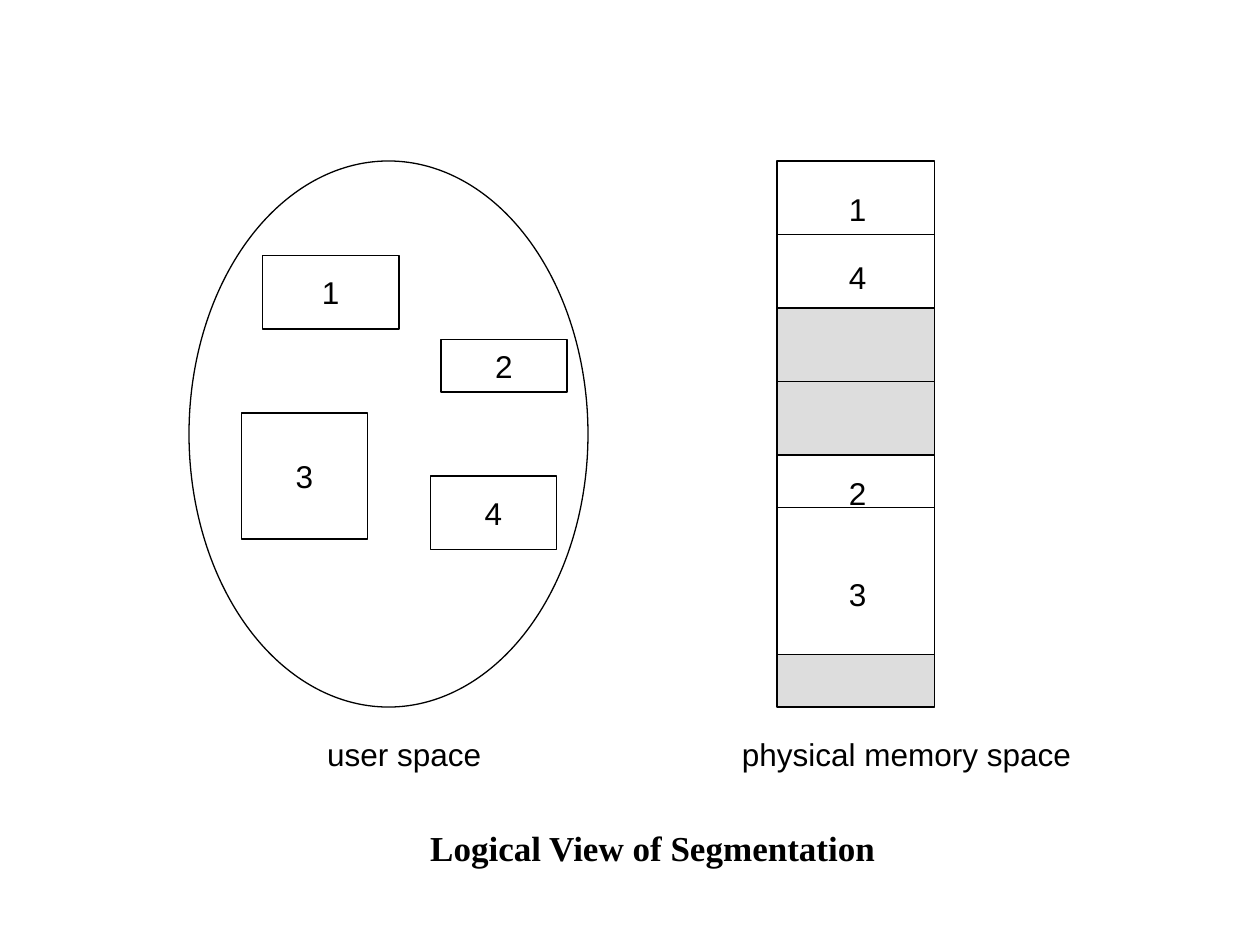
from pptx import Presentation
from pptx.dml.color import RGBColor
from pptx.enum.shapes import MSO_CONNECTOR, MSO_SHAPE
from pptx.enum.text import MSO_ANCHOR, PP_ALIGN
from pptx.oxml.ns import qn
from pptx.util import Pt
from lxml import etree

RECT, OVAL = MSO_SHAPE.RECTANGLE, MSO_SHAPE.OVAL
STRAIGHT = MSO_CONNECTOR.STRAIGHT
MIDDLE, CENTER = MSO_ANCHOR.MIDDLE, PP_ALIGN.CENTER
BLACK, WHITE, GREY = "000000", "FFFFFF", "DDDDDD"


def color(hex_text):
    return RGBColor.from_string(hex_text)


class Diagram:
    font, size, line_width = "Arial", 18, 0.75

    def __init__(self, slide):
        self.slide = slide

    def outline(self, line):
        line.color.rgb = color(BLACK)
        line.width = Pt(self.line_width)

    def set_text(self, shape, text, font=None, size=None, bold=False, wrap=False):
        frame = shape.text_frame
        frame.word_wrap = wrap
        frame.vertical_anchor = MIDDLE
        paragraph = frame.paragraphs[0]
        paragraph.text = text
        paragraph.alignment = CENTER
        paragraph.font.name = font or self.font
        paragraph.font.size = Pt(size or self.size)
        paragraph.font.bold = bold
        paragraph.font.color.rgb = color(BLACK)

    def block(self, left, top, width, height, fill=WHITE, text="", kind=RECT):
        shape = self.slide.shapes.add_shape(
            kind, Pt(left), Pt(top), Pt(width), Pt(height))
        shape.shadow.inherit = False
        shape.fill.solid()
        shape.fill.fore_color.rgb = color(fill)
        self.outline(shape.line)
        if text:
            self.set_text(shape, text)

    def divider(self, left, top, width):
        line = self.slide.shapes.add_connector(
            STRAIGHT, Pt(left), Pt(top), Pt(left + width), Pt(top))
        self.outline(line.line)
        etree.SubElement(line._element.spPr, qn("a:effectLst"))

    def label(self, text, left, top, width, height, **style):
        box = self.slide.shapes.add_textbox(
            Pt(left), Pt(top), Pt(width), Pt(height))
        self.set_text(box, text, **style)


def main():
    deck = Presentation()
    deck.slide_width, deck.slide_height = Pt(720), Pt(540)
    diagram = Diagram(deck.slides.add_slide(deck.slide_layouts[6]))

    # Title
    diagram.label("Logical View of Segmentation", 66, 462, 614, 45,
                  font="Times New Roman", size=20, bold=True, wrap=True)

    # User space with its segments
    space_top = 92
    diagram.block(108, space_top, 228, 312, kind=OVAL)
    for number, left, top, width, height in (
            ("1", 150, 146, 78, 42), ("3", 138, 236, 72, 72),
            ("2", 252, 194, 72, 30), ("4", 246, 272, 72, 42)):
        diagram.block(left, top, width, height, text=number)

    # Physical memory: blocks, each with the height of its first part if split
    memory_left, memory_width = 444, 90
    top = space_top
    for height, first_part, fill in (
            (84, 42, WHITE), (84, 42, GREY), (114, 30, WHITE), (30, 0, GREY)):
        diagram.block(memory_left, top, memory_width, height, fill)
        if first_part:
            diagram.divider(memory_left, top + first_part, memory_width)
        top += height

    # Segment numbers in memory
    for number, number_top in (("1", 105), ("4", 144), ("2", 267), ("3", 325)):
        diagram.label(number, memory_left + 34, number_top, 24, 29)

    # Captions
    diagram.label("user space", 174, 416, 114, 29)
    diagram.label("physical memory space", 415.5, 416, 205, 29)

    deck.save("out.pptx")


if __name__ == "__main__":
    main()
